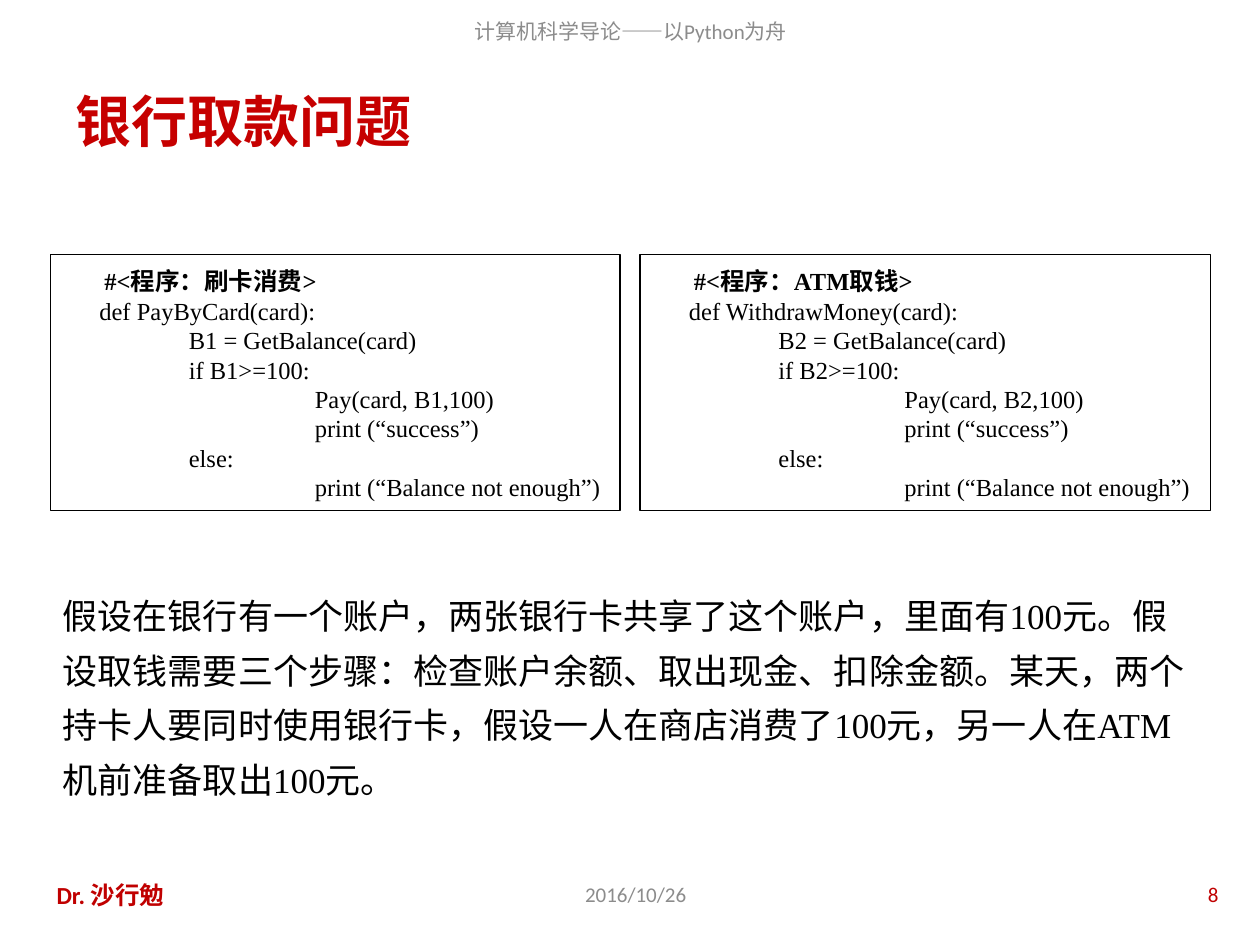
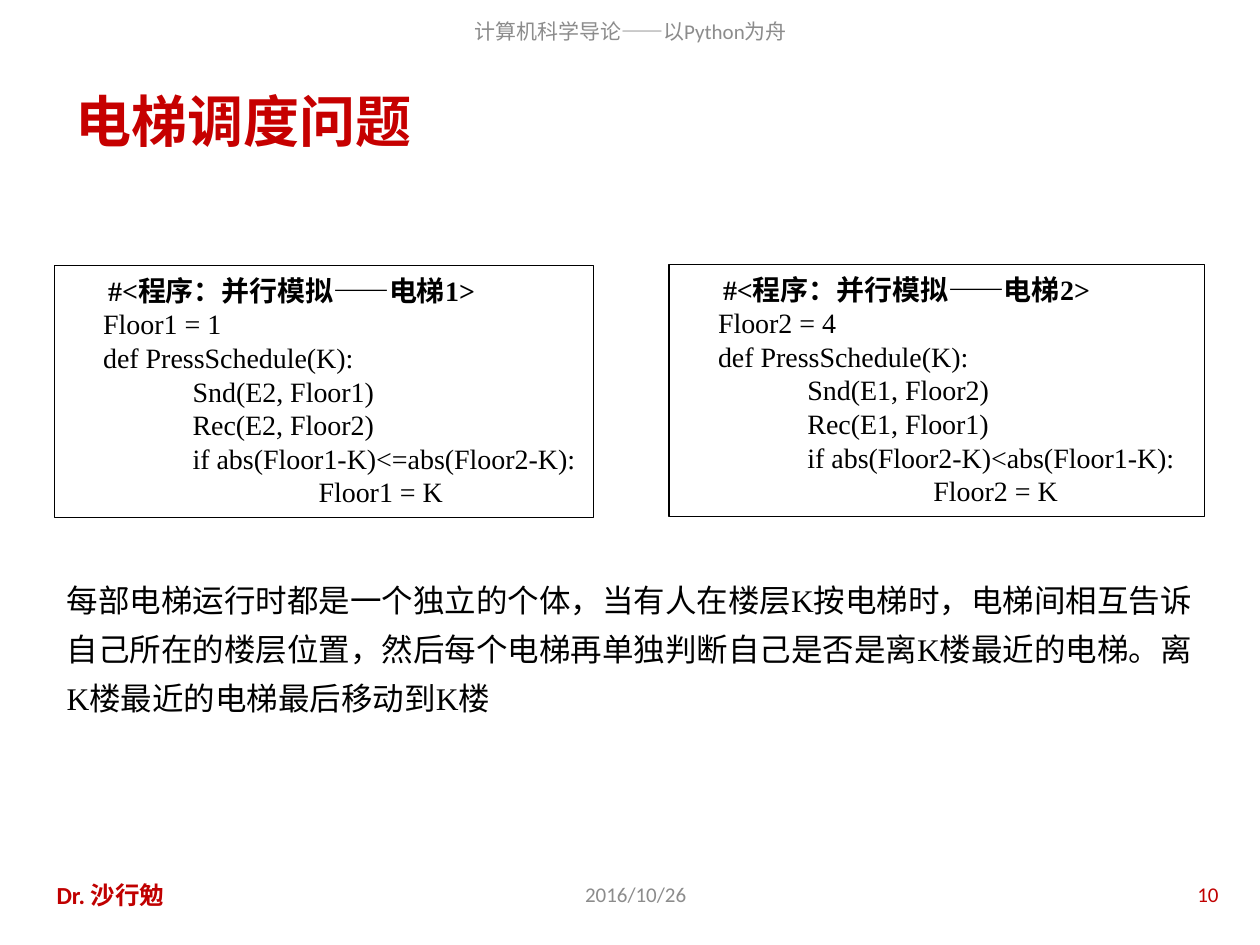
from pptx import Presentation
from pptx.dml.color import RGBColor
from pptx.enum.shapes import MSO_SHAPE
from pptx.enum.text import MSO_ANCHOR, PP_ALIGN
from pptx.util import Inches, Pt

HUES = {"title": "C60000", "accent": "C00000", "muted": "8C8C8C",
        "ink": "000000", "paper": "FFFFFF"}
SANS, SERIF = "Calibri", "Times New Roman"

BANK = """#<程序：{head}>
def {name}(card):
\tB{n} = GetBalance(card)
\tif B{n}>=100:
\t\tPay(card, B{n},100)
\t\tprint (“success”)
\telse:
\t\tprint (“Balance not enough”)"""

LIFT = """#<程序：并行模拟——电梯{n}>
Floor{n} = {start}
def PressSchedule(K):
\tSnd(E{m}, Floor{n})
\tRec(E{m}, Floor{m})
\tif abs(Floor{n}-K){sign}abs(Floor{m}-K):
\t\tFloor{n} = K"""

PAGES = [
    {"title": "银行取款问题", "page": "8", "size": 14,
     "codes": [((0.4, 2.02, 4.52, 2.03),
                BANK.format(head="刷卡消费", name="PayByCard", n=1)),
               ((5.08, 2.02, 4.53, 2.03),
                BANK.format(head="ATM取钱", name="WithdrawMoney", n=2))],
     "note": "假设在银行有一个账户，两张银行卡共享了这个账户，里面有100元。"
             "假设取钱需要三个步骤：检查账户余额、取出现金、扣除金额。"
             "某天，两个持卡人要同时使用银行卡，假设一人在商店消费了100元，"
             "另一人在ATM机前准备取出100元。",
     "box": (0.4, 4.57, 9.2, 1.81), "body": 20},
    {"title": "电梯调度问题", "page": "10", "size": 16,
     "codes": [((0.43, 2.11, 4.28, 2),
                LIFT.format(n=1, m=2, start=1, sign="<=")),
               ((5.31, 2.1, 4.25, 2),
                LIFT.format(n=2, m=1, start=4, sign="<"))],
     "note": "每部电梯运行时都是一个独立的个体，当有人在楼层K按电梯时，"
             "电梯间相互告诉自己所在的楼层位置，然后每个电梯再单独判断"
             "自己是否是离K楼最近的电梯。离K楼最近的电梯最后移动到K楼",
     "box": (0.43, 4.47, 9.14, 1.25), "body": 18},
]


def color(name):
    return RGBColor.from_string(HUES[name])


def inches(box):
    return [Inches(side) for side in box]


def write(para, text, size=12, font=SANS, hue="ink", bold=False,
          align=PP_ALIGN.LEFT, space=None, indent=0):
    para.alignment = align
    para.line_spacing = space
    props = para._p.get_or_add_pPr()
    props.set("marL", "0")
    props.set("indent", str(Inches(indent)))
    props.set("defTabSz", str(Inches(1)))
    run = para.add_run()
    run.text = text
    run.font.size = Pt(size)
    run.font.name = font
    run.font.bold = bold
    run.font.color.rgb = color(hue)
    run._r.get_or_add_rPr().set("lang", "zh-CN")


def label(slide, box, text, anchor=MSO_ANCHOR.MIDDLE, **style):
    frame = slide.shapes.add_textbox(*inches(box)).text_frame
    frame.word_wrap = True
    frame.vertical_anchor = anchor
    write(frame.paragraphs[0], text, **style)


def header(slide, title):
    label(slide, (1.54, 0.05, 6.93, 0.39), "计算机科学导论——以Python为舟",
          hue="muted", align=PP_ALIGN.CENTER)
    shape = slide.shapes.title
    shape.left, shape.top, shape.width, shape.height = inches((0.5, 0.6, 9, 0.7))
    shape.text_frame.vertical_anchor = MSO_ANCHOR.MIDDLE
    write(shape.text_frame.paragraphs[0], title, size=32, hue="title", bold=True)


def footer(slide, page):
    top, high = 6.9, 0.4
    label(slide, (3.35, top, 3.39, high), "2016/10/26",
          hue="muted", align=PP_ALIGN.CENTER)
    label(slide, (0.35, top, 2.21, high), "Dr. 沙行勉",
          size=14, hue="accent", bold=True)
    label(slide, (7.44, top, 2.33, high), page,
          hue="accent", align=PP_ALIGN.RIGHT)


def listing(slide, box, code, size):
    shape = slide.shapes.add_shape(MSO_SHAPE.RECTANGLE, *inches(box))
    shape.shadow.inherit = False
    shape.fill.solid()
    shape.fill.fore_color.rgb = color("paper")
    shape.line.color.rgb = color("ink")
    shape.line.width = Pt(0.75)
    frame = shape.text_frame
    frame.word_wrap = True
    frame.vertical_anchor = MSO_ANCHOR.TOP
    for row, line in enumerate(code.split("\n")):
        para = frame.add_paragraph() if row else frame.paragraphs[0]
        write(para, line, size=size, font=SERIF, bold=row == 0,
              align=PP_ALIGN.JUSTIFY, indent=0.29 if row else 0.33,
              space=Pt(size * 1.2) if row else Pt(20))


def build(deck, page):
    slide = deck.slides.add_slide(deck.slide_layouts[5])
    header(slide, page["title"])
    footer(slide, page["page"])
    for box, code in page["codes"]:
        listing(slide, box, code, page["size"])
    label(slide, page["box"], page["note"], anchor=MSO_ANCHOR.TOP,
          size=page["body"], font=SERIF, space=1.3)


def main():
    deck = Presentation()
    deck.slide_width, deck.slide_height = Inches(10), Inches(7.5)
    for page in PAGES:
        build(deck, page)
    deck.save("out.pptx")


if __name__ == "__main__":
    main()
